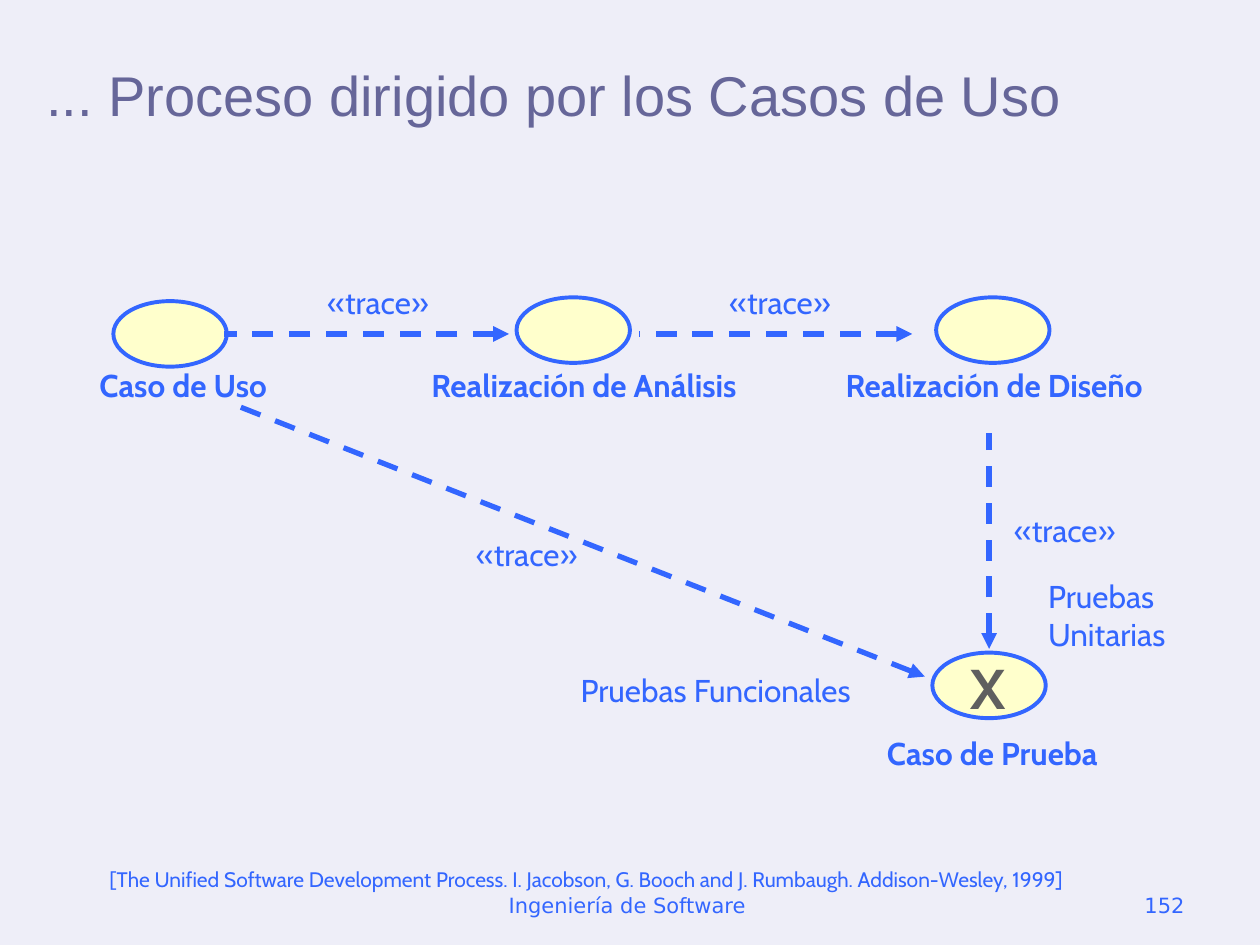
from lxml import etree
from pptx import Presentation
from pptx.dml.color import RGBColor
from pptx.enum import dml, shapes, text
from pptx.oxml.ns import qn
from pptx.util import Inches, Pt

BACKGROUND = RGBColor(0xEE, 0xEE, 0xF8)
BLUE = RGBColor(0x33, 0x66, 0xFF)
CREAM = RGBColor(0xFF, 0xFF, 0xCC)
GRAY = RGBColor(0x5F, 0x5F, 0x5F)
PURPLE = RGBColor(0x66, 0x66, 0x99)
LEFT, CENTER, RIGHT = text.PP_ALIGN.LEFT, text.PP_ALIGN.CENTER, text.PP_ALIGN.RIGHT

# Content: boxes are (left, top, width, height)
TITLE = ("... Proceso dirigido por los Casos de Uso", (0.27, -0.19, 9.73, 1.25))
FOOTERS = [
    ("Ingeniería de Software ", (3.42, 6.83, 3.17, 0.5), CENTER),
    ("152", (7.17, 6.83, 2.33, 0.5), RIGHT),
]
SOURCE = ("[The Unified Software Development Process. I. Jacobson, G. Booch "
          "and J. Rumbaugh. Addison-Wesley, 1999]", (0.77, 6.83, 8.65, 0.3))
ELLIPSE_SIZE = (0.9, 0.52)
ELLIPSES = [(0.9, 2.39), (4.1, 2.36), (7.43, 2.36), (7.4, 5.18)]
NODE_NAMES = [
    ("Caso de Uso", (0.69, 2.86, 1.69, 0.4), LEFT),
    ("Realización de Análisis", (3.13, 2.86, 3.01, 0.4), CENTER),
    ("Realización de Diseño", (6.44, 2.86, 2.9, 0.4), CENTER),
    ("Caso de Prueba", (6.94, 5.78, 2.11, 0.4), LEFT),
]
TEST_MARK = ("X", (7.6, 5.14, 0.49, 0.64))
# Each trace: arrow tip, arrow origin, top left of its label
TRACES = [
    ((4.04, 2.65), (1.78, 2.65), (2.5, 2.2)),
    ((7.24, 2.65), (5.07, 2.65), (5.69, 2.2)),
    ((7.34, 5.37), (1.88, 3.22), (3.68, 4.2)),
    ((7.85, 5.15), (7.85, 3.44), (7.95, 4.01)),
]
TEST_KINDS = [
    ("Pruebas Funcionales", (4.51, 5.28, 2.62, 0.4)),
    ("Pruebas\nUnitarias", (8.22, 4.53, 1.26, 0.7)),
]


def add_text(s, words, box, size=18, font="Cabin", color=BLUE, bold=False,
             align=LEFT, anchor=text.MSO_ANCHOR.TOP, wrap=False):
    tf = s.shapes.add_textbox(*map(Inches, box)).text_frame
    tf.word_wrap = wrap
    tf.auto_size = (text.MSO_AUTO_SIZE.NONE if wrap
                    else text.MSO_AUTO_SIZE.SHAPE_TO_FIT_TEXT)
    tf.vertical_anchor = anchor
    tf.text = words
    for p in tf.paragraphs:
        p.alignment = align
        for r in p.runs:
            r.font.size = Pt(size)
            r.font.name = font
            r.font.bold = bold
            r.font.color.rgb = color


def add_ellipse(s, corner):
    sp = s.shapes.add_shape(shapes.MSO_SHAPE.OVAL, *map(Inches, corner + ELLIPSE_SIZE))
    sp.shadow.inherit = False
    sp.fill.solid()
    sp.fill.fore_color.rgb = CREAM
    sp.line.color.rgb = BLUE
    sp.line.width = Pt(2.25)


def add_arrow(s, tip, origin):
    line = s.shapes.add_connector(shapes.MSO_CONNECTOR.STRAIGHT,
                                  *map(Inches, tip + origin))
    line.line.color.rgb = BLUE
    line.line.width = Pt(3)
    line.line.dash_style = dml.MSO_LINE.DASH
    props = line._element.spPr
    etree.SubElement(props.find(qn("a:ln")), qn("a:headEnd"), type="triangle")
    etree.SubElement(props, qn("a:effectLst"))


prs = Presentation()
prs.slide_width, prs.slide_height = Inches(10), Inches(7.5)
s = prs.slides.add_slide(prs.slide_layouts[6])
s.background.fill.solid()
s.background.fill.fore_color.rgb = BACKGROUND

# Title, footers and source
add_text(s, *TITLE, size=32, font="Arial", color=PURPLE,
         anchor=text.MSO_ANCHOR.BOTTOM, wrap=True)
for words, box, align in FOOTERS:
    add_text(s, words, box, size=12, font="DejaVu Sans", align=align,
             anchor=text.MSO_ANCHOR.BOTTOM, wrap=True)
add_text(s, *SOURCE, size=12)

# Use case and its realizations
for corner in ELLIPSES:
    add_ellipse(s, corner)
for words, box, align in NODE_NAMES:
    add_text(s, words, box, bold=True, align=align)
add_text(s, *TEST_MARK, size=32, color=GRAY, bold=True)

# Trace arrows with their labels
for tip, origin, corner in TRACES:
    add_arrow(s, tip, origin)
    add_text(s, "«trace»", corner + (1.05, 0.4))
for words, box in TEST_KINDS:
    add_text(s, words, box)

prs.save("out.pptx")
